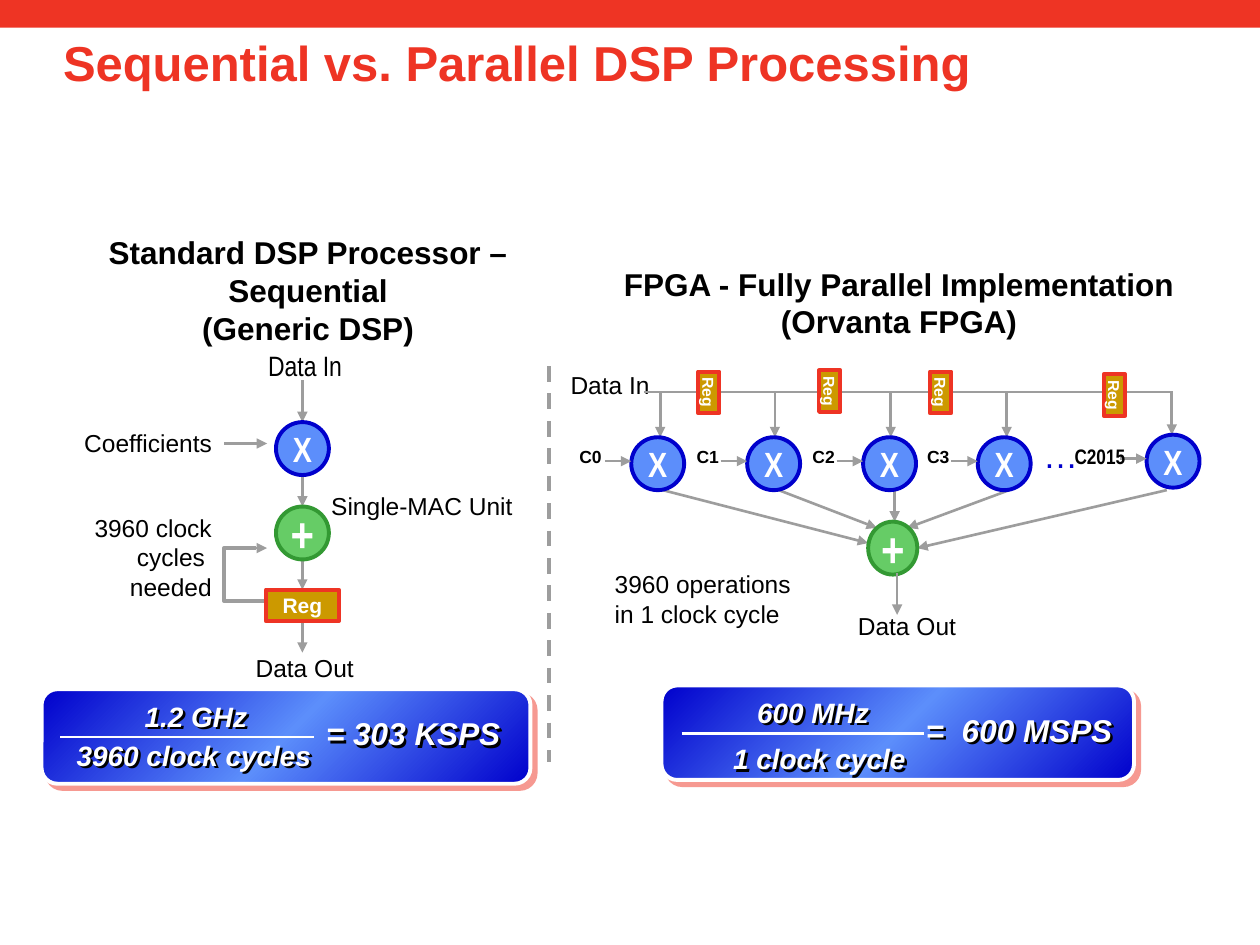
from pptx import Presentation
from pptx.dml.color import RGBColor
from pptx.enum.dml import MSO_LINE
from pptx.enum.shapes import MSO_CONNECTOR, MSO_SHAPE
from pptx.enum.text import MSO_ANCHOR, PP_ALIGN
from pptx.oxml import parse_xml
from pptx.oxml.ns import nsdecls, qn
from pptx.util import Inches, Pt

RED = RGBColor(0xEE, 0x34, 0x24)
BLACK = RGBColor(0, 0, 0)
WHITE = RGBColor(0xFF, 0xFF, 0xFF)
GRAY = RGBColor(0x9D, 0x9D, 0x9D)
NAVY = RGBColor(0, 0, 0xCC)
BLUE = RGBColor(0x5C, 0x8E, 0xFB)
GREEN = RGBColor(0x66, 0xCC, 0x66)
DARK_GREEN = RGBColor(0x33, 0x99, 0x33)
GOLD = RGBColor(0xCC, 0x99, 0)
NARROW = "Arial Narrow"


def shadow_xml(color, distance, alpha=100):
    return parse_xml(
        f'<a:effectLst {nsdecls("a")}><a:outerShdw dist="{Pt(distance)}" dir="2700000" algn="ctr" '
        f'rotWithShape="0"><a:srgbClr val="{color}"><a:alpha val="{alpha * 1000}"/></a:srgbClr>'
        f'</a:outerShdw></a:effectLst>')


def write(frame, text, size=14, font="Arial", color=BLACK, bold=False, italic=False,
          align=PP_ALIGN.LEFT, anchor=MSO_ANCHOR.TOP, wrap=False, margins=None):
    frame.word_wrap = wrap
    frame.vertical_anchor = anchor
    if margins is not None:
        frame.margin_left, frame.margin_top, frame.margin_right, frame.margin_bottom = map(Inches, margins)
    for index, content in enumerate(text.split("\n")):
        para = frame.paragraphs[0] if index == 0 else frame.add_paragraph()
        para.alignment = align
        for position, part in enumerate(content.split("\v")):
            if position:
                para.add_line_break()
            span = para.add_run()
            span.text = part
            span.font.size, span.font.name = Pt(size), font
            span.font.bold, span.font.italic = bold, italic
            span.font.color.rgb = color


class Diagram:
    def __init__(self, page, line_color=GRAY, line_width=1.5):
        self.page = page
        self.line_color = line_color
        self.line_width = line_width

    def title(self, text):
        box = self.page.shapes.title
        box.left, box.top, box.width, box.height = map(Inches, (0.5, 0.23, 9, 1.25))
        write(box.text_frame, text, size=28, color=RED, bold=True, wrap=True, margins=(0, 0.05, 0.1, 0.05))
        box.text_frame.paragraphs[0].line_spacing = 0.98

    def label(self, left, top, width, height, text, shadow=False, **style):
        box = self.page.shapes.add_textbox(*map(Inches, (left, top, width, height)))
        write(box.text_frame, text, **style)
        if shadow:
            box._element.spPr.append(shadow_xml(BLACK, 2))

    def shape(self, kind, left, top, width, height, fill, line=None, width_pt=2.25):
        box = self.page.shapes.add_shape(kind, *map(Inches, (left, top, width, height)))
        box.shadow.inherit = False
        box.fill.solid()
        box.fill.fore_color.rgb = fill
        if line is None:
            box.line.fill.background()
        else:
            box.line.color.rgb = line
            box.line.width = Pt(width_pt)
        return box

    def node(self, left, top, symbol, fill, line, size, width=0.42):
        circle = self.shape(MSO_SHAPE.OVAL, left, top, width, 0.42, fill, line)
        write(circle.text_frame, symbol, size=size, font=NARROW, color=WHITE, bold=True,
              align=PP_ALIGN.CENTER, anchor=MSO_ANCHOR.MIDDLE, margins=(0, 0, 0, 0))

    def multiplier(self, left, top):
        self.node(left, top, "X", BLUE, NAVY, 20)

    def adder(self, left, top, width=0.42):
        self.node(left, top, "+", GREEN, DARK_GREEN, 28, width)

    def register(self, left, top, width, height, size, rotation=0):
        box = self.shape(MSO_SHAPE.RECTANGLE, left, top, width, height, GOLD, RED)
        box.rotation = rotation
        write(box.text_frame, "Reg", size=size, color=WHITE, bold=True, align=PP_ALIGN.CENTER,
              anchor=MSO_ANCHOR.MIDDLE, margins=(0, 0, 0, 0))
        return box

    def line(self, start, end, color=None, width=None, head=False):
        connector = self.page.shapes.add_connector(
            MSO_CONNECTOR.STRAIGHT, *map(Inches, (*start, *end)))
        connector.line.color.rgb = color or self.line_color
        connector.line.width = Pt(width or self.line_width)
        if head:
            connector.line._get_or_add_ln().append(parse_xml(f'<a:tailEnd {nsdecls("a")} type="triangle"/>'))
        connector._element.spPr.append(parse_xml(f'<a:effectLst {nsdecls("a")}/>'))
        return connector

    def arrow(self, start, end, width=None):
        return self.line(start, end, width=width, head=True)

    def polyline(self, points, width):
        start, *rest = [tuple(map(Inches, point)) for point in points]
        builder = self.page.shapes.build_freeform(*start)
        builder.add_line_segments(rest, close=False)
        bend = builder.convert_to_shape()
        bend.shadow.inherit = False
        bend.fill.background()
        bend.line.color.rgb = self.line_color
        bend.line.width = Pt(width)

    def banner(self, left, top, width, rule, numerator, denominator, result):
        box = self.shape(MSO_SHAPE.ROUNDED_RECTANGLE, left, top, width, 0.75, BLUE, WHITE)
        properties = box._element.spPr
        stops = "".join(f'<a:gs pos="{place}"><a:srgbClr val="{color}"/></a:gs>'
                        for place, color in ((0, NAVY), (50000, BLUE), (100000, NAVY)))
        properties.replace(properties.find(qn("a:solidFill")), parse_xml(
            f'<a:gradFill {nsdecls("a")} rotWithShape="0"><a:gsLst>{stops}</a:gsLst>'
            f'<a:lin ang="2700000" scaled="0"/></a:gradFill>'))
        properties.replace(properties.find(qn("a:effectLst")), shadow_xml(RED, 4.2, 50))
        style = dict(color=WHITE, bold=True, italic=True, shadow=True)
        self.label(*numerator, size=16, **style)
        self.label(*denominator, size=16, **style)
        self.line(*rule, color=WHITE)
        self.label(*result, size=18, **style)


def draw_sequential(diagram):
    center = 2.4
    diagram.banner(0.33, 5.47, 3.88, ((0.48, 5.85), (2.49, 5.85)),
                   (1.05, 5.5, 1.02, 0.37, "1.2 GHz"),
                   (0.51, 5.81, 2.15, 0.37, "3960 clock cycles"),
                   (2.49, 5.62, 1.6, 0.4, "= 303 KSPS"))
    diagram.label(1.93, 5.13, 0.98, 0.33, "Data Out")
    diagram.label(2.53, 3.85, 1.65, 0.35, "Single-MAC Unit")
    diagram.label(0.57, 3.35, 1.23, 0.35, "Coefficients")
    diagram.label(0.53, 4.02, 1.25, 0.81, "3960 clock cycles \vneeded", align=PP_ALIGN.RIGHT, wrap=True)
    diagram.label(2.03, 2.72, 0.79, 0.37, "Data In", size=16, font=NARROW)
    diagram.arrow((center, 3.02), (center, 3.35))
    diagram.arrow((1.78, 3.52), (2.12, 3.52))
    diagram.arrow((center, 3.68), (center, 4.02))
    to_register = diagram.arrow((center, 4.35), (center, 4.68))
    from_register = diagram.arrow((center, 4.93), (center, 5.18))
    diagram.polyline([(2.12, 4.77), (1.78, 4.77), (1.78, 4.35), (2.03, 4.35)], 2.25)
    diagram.arrow((1.87, 4.35), (2.12, 4.35), width=1)
    diagram.multiplier(center - 0.21, 3.35)
    diagram.adder(center - 0.21, 4.02)
    register = diagram.register(center - 0.29, 4.68, 0.58, 0.25, 12)
    to_register.end_connect(register, 0)
    from_register.begin_connect(register, 2)


def draw_parallel(diagram):
    diagram.banner(5.25, 5.44, 3.75, ((5.41, 5.82), (7.33, 5.82)),
                   (5.91, 5.47, 1.15, 0.37, "600 MHz"),
                   (5.72, 5.84, 1.58, 0.37, "1 clock cycle"),
                   (7.25, 5.59, 1.68, 0.4, "=  600 MSPS"))
    diagram.label(4.84, 2.05, 4.59, 0.72, "FPGA - Fully Parallel Implementation\n(Orvanta FPGA)",
                  size=18, bold=True, align=PP_ALIGN.CENTER)
    diagram.label(6.71, 4.8, 0.98, 0.33, "Data Out")
    diagram.label(4.78, 4.47, 1.68, 0.57, "3960 operations \vin 1 clock cycle", wrap=True)
    diagram.label(4.43, 2.89, 0.83, 0.58, "Data In", wrap=True)
    bus = 3.11
    diagram.line((5.11, bus), (9.31, bus))
    taps = [
        (5.01, 3.47, 5.24, "C0", 4.5, (5.26, 3.89), (6.89, 4.31)),
        (5.93, 3.47, 6.15, "C1", 5.43, (6.18, 3.89), (6.96, 4.19)),
        (6.85, 3.47, 7.07, "C2", 6.35, (7.1, 3.8), (7.1, 4.14)),
        (7.76, 3.47, 7.99, "C3", 7.26, (8.01, 3.89), (7.2, 4.19)),
        (9.1, 3.45, 9.3, "C2015", 8.43, (9.26, 3.89), (7.28, 4.35)),
    ]
    for left, top, tap, name, label_left, sum_start, sum_end in taps:
        diagram.arrow((tap, bus), (tap, top))
        diagram.arrow(sum_start, sum_end)
        diagram.multiplier(left, top)
        diagram.arrow((left - 0.21, top + 0.19), (left, top + 0.19))
        last = name == "C2015"
        diagram.label(label_left, top + 0.02, 0.67, 0.3, name, size=12 if last else 10,
                      font=NARROW if last else "Arial", bold=True, wrap=True)
    diagram.adder(6.89, 4.14, 0.39)
    diagram.arrow((7.12, 4.55), (7.12, 4.88))
    diagram.label(8.18, 3.39, 0.47, 0.43, "…", size=20, color=NAVY, wrap=True)
    for left, top in ((5.46, 3.03), (6.42, 3.02), (7.3, 3.03), (8.68, 3.05)):
        diagram.register(left, top, 0.33, 0.17, 9, rotation=90)


def main():
    deck = Presentation()
    deck.slide_width, deck.slide_height = Inches(10), Inches(7.5)
    diagram = Diagram(deck.slides.add_slide(deck.slide_layouts[5]))
    diagram.shape(MSO_SHAPE.RECTANGLE, 0, 0, 10, 0.22, RED)
    diagram.title("Sequential vs. Parallel DSP Processing")
    divider = diagram.line((4.36, 2.47), (4.36, 6.05), width=2.25)
    divider.line.dash_style = MSO_LINE.DASH
    draw_sequential(diagram)
    draw_parallel(diagram)
    heading = diagram.shape(MSO_SHAPE.RECTANGLE, 0.11, 1.8, 4.67, 1.02, WHITE, WHITE, 1)
    write(heading.text_frame, "Standard DSP Processor – Sequential\n(Generic DSP)", size=18, bold=True,
          align=PP_ALIGN.CENTER, wrap=True)
    deck.save("out.pptx")


if __name__ == "__main__":
    main()
